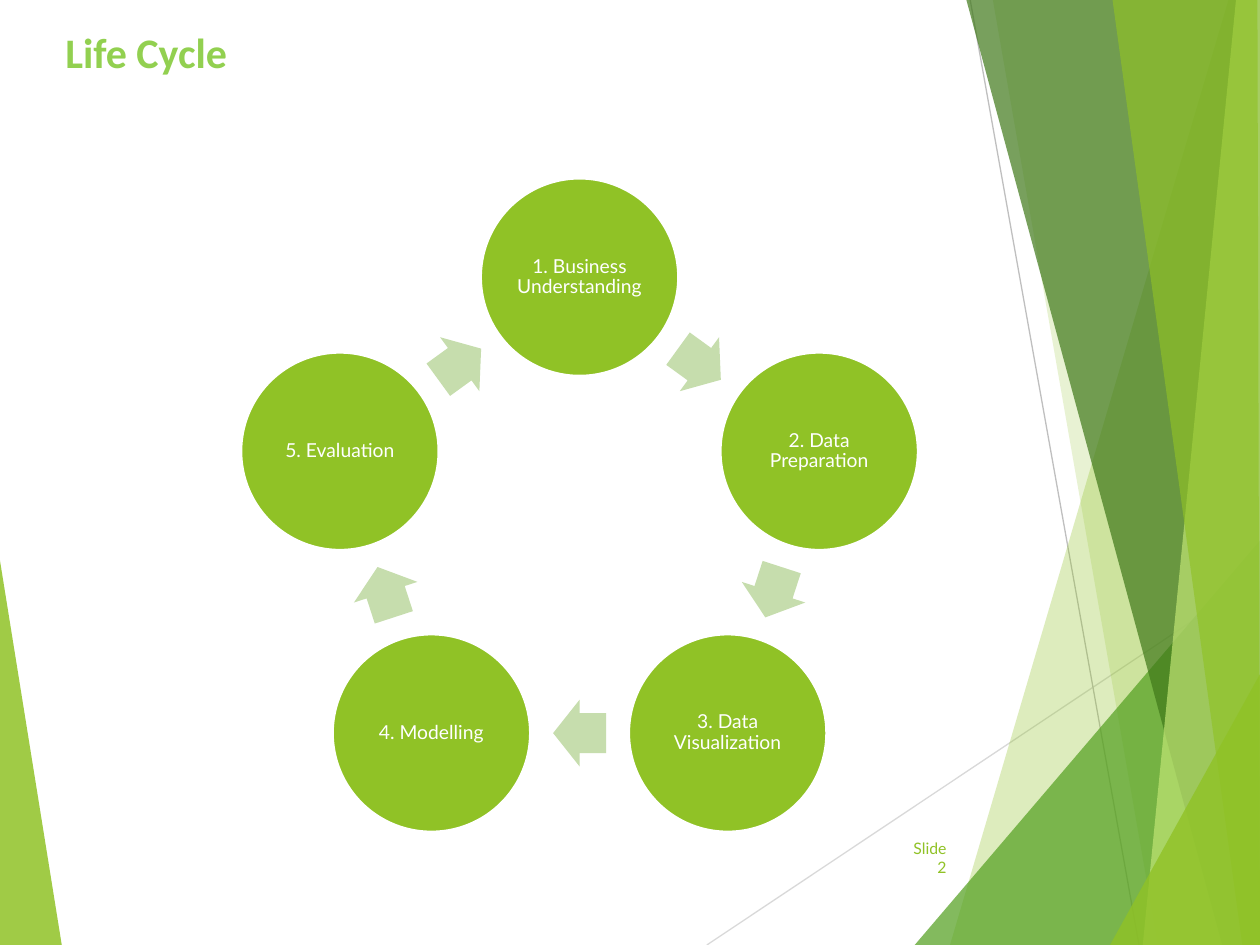
from math import cos, radians, sin

from pptx import Presentation
from pptx.dml.color import RGBColor
from pptx.enum.shapes import MSO_CONNECTOR as CONN, MSO_SHAPE as SHAPE
from pptx.enum.text import MSO_ANCHOR as ANCHOR, PP_ALIGN as ALIGN
from pptx.oxml.ns import qn
from pptx.util import Inches, Pt
from lxml.etree import SubElement

W, H = 10, 7.5
COLORS = {
    "green": "90C226", "title": "92D050", "leaf": "54A021", "forest": "3F7819",
    "lime": "C0E474", "arrow": "C6DDAD", "white": "FFFFFF",
    "gray": "BFBFBF", "light_gray": "D9D9D9",
}
STEPS = ["1. Business Understanding", "2. Data Preparation",
         "3. Data Visualization", "4. Modelling", "5. Evaluation"]
CENTER_X, CENTER_Y, RADIUS = 4.6, 4.2, 2
CIRCLE = 1.57
ARROW_W, ARROW_H = 0.42, 0.53

# Decorative facets: colour, opacity in percent, corner points
FACETS = [
    ("green", 30, [(9.75, 0), (7.54, H), (W, H), (W, 0)]),
    ("green", 20, [(7.88, 0), (9.19, H), (W, H), (W, 0)]),
    ("leaf", 72, [(7.26, H), (W, 4.29), (W, H)]),
    ("forest", 70, [(7.67, 0), (9.7, H), (W, H), (W, 0)]),
    ("lime", 70, [(9.81, 0), (9.07, H), (W, H), (W, 0)]),
    ("green", 65, [(8.83, 0), (9.86, H), (W, H), (9.98, 0)]),
    ("green", 80, [(8.81, H), (W, 5.35), (W, H)]),
]


def rgb(name):
    return RGBColor.from_string(COLORS[name])


def paint(s, color, opacity=100):
    s.shadow.inherit = False
    s.fill.solid()
    s.fill.fore_color.rgb = rgb(color)
    s.line.fill.background()
    if opacity < 100:
        clr = s.fill._xPr.find(qn("a:solidFill"))[0]
        SubElement(clr, qn("a:alpha")).set("val", str(opacity * 1000))


def add_facet(slide, color, opacity, points):
    corners = [(Inches(x), Inches(y)) for x, y in points]
    builder = slide.shapes.build_freeform(*corners[0])
    builder.add_line_segments(corners[1:], close=True)
    paint(builder.convert_to_shape(), color, opacity)


def add_line(slide, color, *ends):
    s = slide.shapes.add_connector(CONN.STRAIGHT, *map(Inches, ends))
    s.line.color.rgb = rgb(color)
    s.line.width = Pt(0.75)
    SubElement(s._element.spPr, qn("a:effectLst"))


def set_text(s, text, font, size, color, bold=False, align=ALIGN.LEFT,
             spacing=1.0, inset=None, anchor=ANCHOR.MIDDLE, wrap=True):
    tf = s.text_frame
    tf.word_wrap, tf.vertical_anchor = wrap, anchor
    if inset is not None:
        for side in ("left", "top", "right", "bottom"):
            setattr(tf, f"margin_{side}", Inches(inset))
    p = tf.paragraphs[0]
    p.alignment, p.line_spacing = align, spacing
    r = p.add_run()
    r.text = text
    for key, value in {"name": font, "size": Pt(size), "bold": bold}.items():
        setattr(r.font, key, value)
    r.font.color.rgb = rgb(color)


def add_label(slide, box, *args, **fmt):
    set_text(slide.shapes.add_textbox(*map(Inches, box)), *args, **fmt)


def add_centered(slide, kind, x, y, w, h):
    return slide.shapes.add_shape(
        kind, *map(Inches, (x - w / 2, y - h / 2, w, h)))


def ring_point(angle, radius):
    a = radians(angle)
    return CENTER_X + radius * sin(a), CENTER_Y - radius * cos(a)


def add_cycle(slide, steps):
    turn = 360 / len(steps)
    mid_radius = RADIUS * cos(radians(turn / 2))
    for i, step in enumerate(steps):
        # Step circle
        s = add_centered(slide, SHAPE.OVAL, *ring_point(i * turn, RADIUS),
                         CIRCLE, CIRCLE)
        paint(s, "green")
        s.line.color.rgb = rgb("white")
        s.line.width = Pt(1.5)
        set_text(s, step, "Lato", 11, "white", align=ALIGN.CENTER,
                 spacing=0.9, inset=0.02)
        # Arrow halfway to the next step
        angle = (i + 0.5) * turn
        s = add_centered(slide, SHAPE.RIGHT_ARROW,
                         *ring_point(angle, mid_radius), ARROW_W, ARROW_H)
        s.adjustments[0], s.adjustments[1] = 0.6, 0.5
        s.rotation = angle
        paint(s, "arrow")


def main():
    prs = Presentation()
    prs.slide_width, prs.slide_height = Inches(W), Inches(H)
    slide = prs.slides.add_slide(prs.slide_layouts[6])

    # Background decoration
    add_facet(slide, "green", 85, [(0, 4.45), (0.49, H), (0, H)])
    add_line(slide, "light_gray", 5.61, H, W, 4.57)
    add_line(slide, "gray", 7.7, 0, 9.04, H)
    for facet in FACETS:
        add_facet(slide, *facet)

    # Slide number and title
    add_label(slide, (7.05, 6.61, 0.56, 0.4), "Slide 2", "Lato", 9, "green",
              align=ALIGN.RIGHT)
    add_label(slide, (0.42, 0.16, 1.5, 0.5), "Life Cycle", "Calibri", 24,
              "title", bold=True, anchor=ANCHOR.TOP, wrap=False)

    add_cycle(slide, STEPS)
    prs.save("out.pptx")


main()
